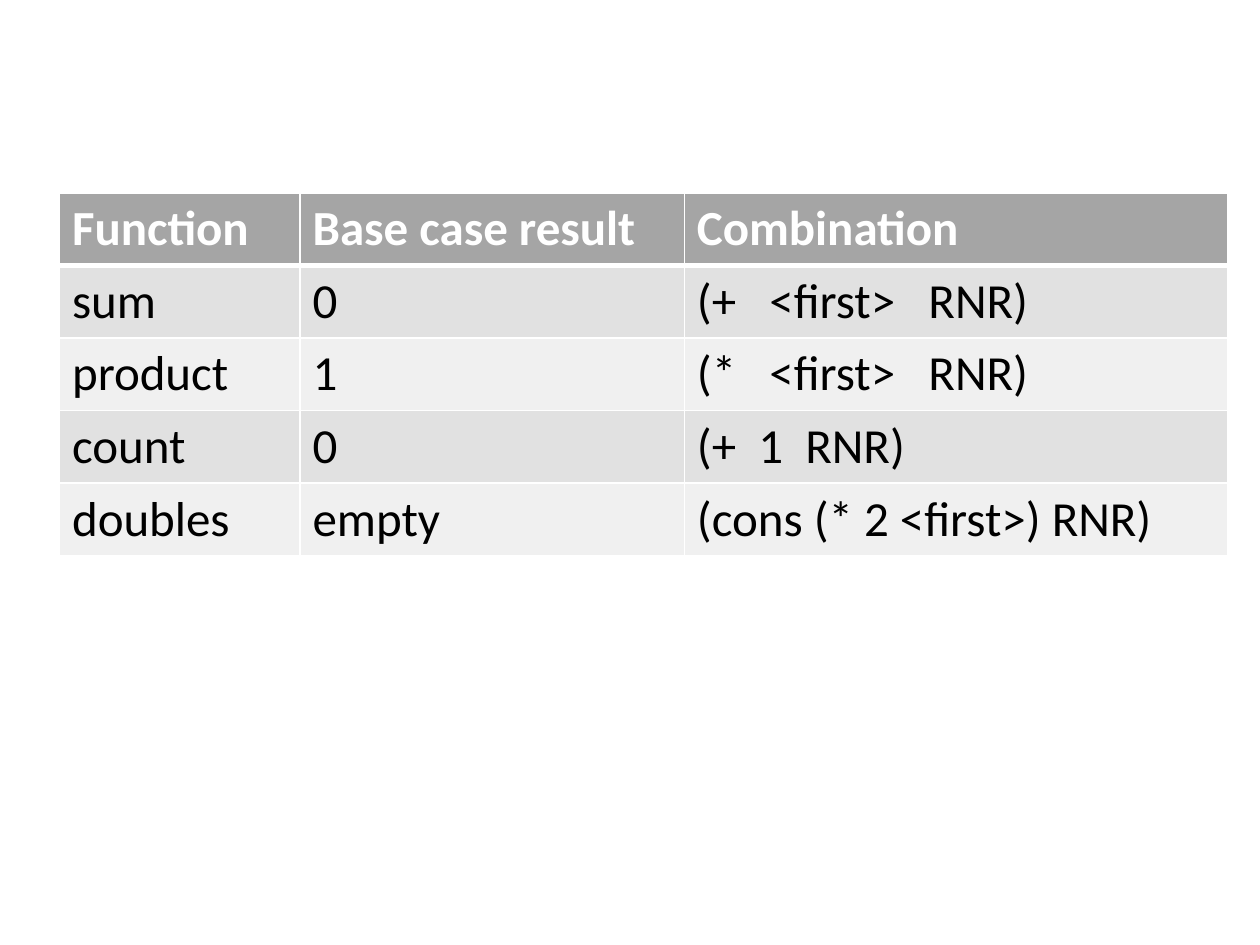
from dataclasses import dataclass

from lxml import etree
from pptx import Presentation
from pptx.dml.color import RGBColor
from pptx.oxml.ns import qn
from pptx.util import Pt

HEADER = ("Function", "Base case result", "Combination")
FUNCTIONS = [
    ("sum", "0", "(+   <first>   RNR)"),
    ("product", "1", "(*   <first>   RNR)"),
    ("count", "0", "(+  1  RNR)"),
    ("doubles", "empty", "(cons (* 2 <first>) RNR)"),
]

SLIDE_SIZE = (720, 540)
TABLE_LEFT, TABLE_TOP = 34, 110.3
COLUMN_WIDTHS = (137.5, 219.6, 310.4)
ROW_HEIGHT = 41.4


@dataclass(frozen=True)
class Theme:
    font: str = "Calibri"
    size: float = 28
    header_fill: str = "A5A5A5"
    header_text: str = "FFFFFF"
    body_fills: tuple = ("E1E1E1", "F0F0F0")
    body_text: str = "000000"
    border: str = "FFFFFF"
    thin: float = 1
    thick: float = 3


THEME = Theme()


def set_borders(cell, top, bottom):
    tc_pr = cell._tc.get_or_add_tcPr()
    widths = {"lnL": THEME.thin, "lnR": THEME.thin, "lnT": top, "lnB": bottom}
    for i, (tag, width) in enumerate(widths.items()):
        ln = etree.Element(qn(f"a:{tag}"), w=str(Pt(width)))
        fill = etree.SubElement(ln, qn("a:solidFill"))
        etree.SubElement(fill, qn("a:srgbClr"), val=THEME.border)
        tc_pr.insert(i, ln)


def fill_cell(cell, text, fill, color, bold):
    cell.fill.solid()
    cell.fill.fore_color.rgb = RGBColor.from_string(fill)
    r = cell.text_frame.paragraphs[0].add_run()
    r.text = text
    r.font.name = THEME.font
    r.font.size = Pt(THEME.size)
    r.font.bold = bold
    r.font.color.rgb = RGBColor.from_string(color)


def add_function_table(s):
    rows = [HEADER, *FUNCTIONS]
    table = s.shapes.add_table(
        len(rows), len(HEADER), Pt(TABLE_LEFT), Pt(TABLE_TOP),
        Pt(sum(COLUMN_WIDTHS)), Pt(ROW_HEIGHT * len(rows)),
    ).table
    for column, width in zip(table.columns, COLUMN_WIDTHS):
        column.width = Pt(width)
    for i, texts in enumerate(rows):
        table.rows[i].height = Pt(ROW_HEIGHT)
        is_header = i == 0
        fill = THEME.header_fill if is_header else THEME.body_fills[(i - 1) % 2]
        color = THEME.header_text if is_header else THEME.body_text
        top = THEME.thick if i == 1 else THEME.thin
        bottom = THEME.thick if is_header else THEME.thin
        for j, text in enumerate(texts):
            cell = table.cell(i, j)
            fill_cell(cell, text, fill, color, is_header)
            set_borders(cell, top, bottom)


def main():
    prs = Presentation()
    prs.slide_width, prs.slide_height = map(Pt, SLIDE_SIZE)
    s = prs.slides.add_slide(prs.slide_layouts[6])
    add_function_table(s)
    prs.save("out.pptx")


if __name__ == "__main__":
    main()
